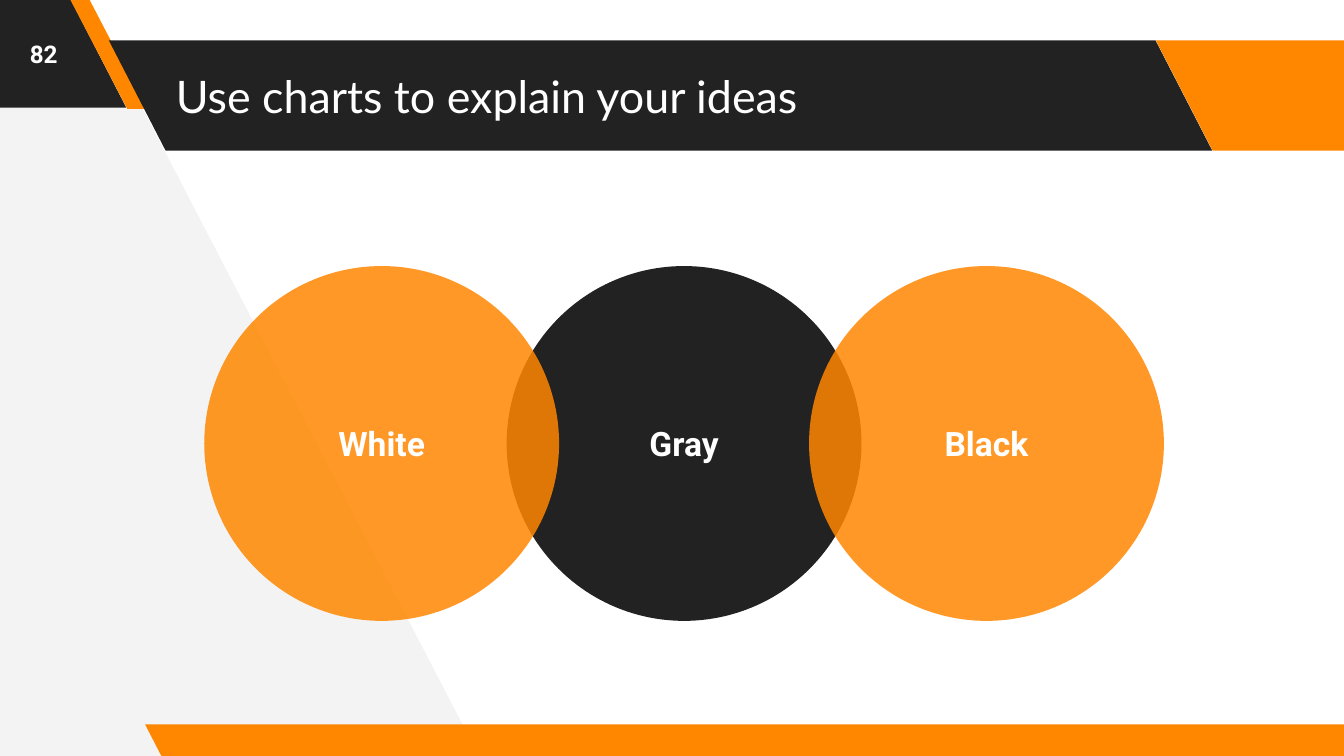
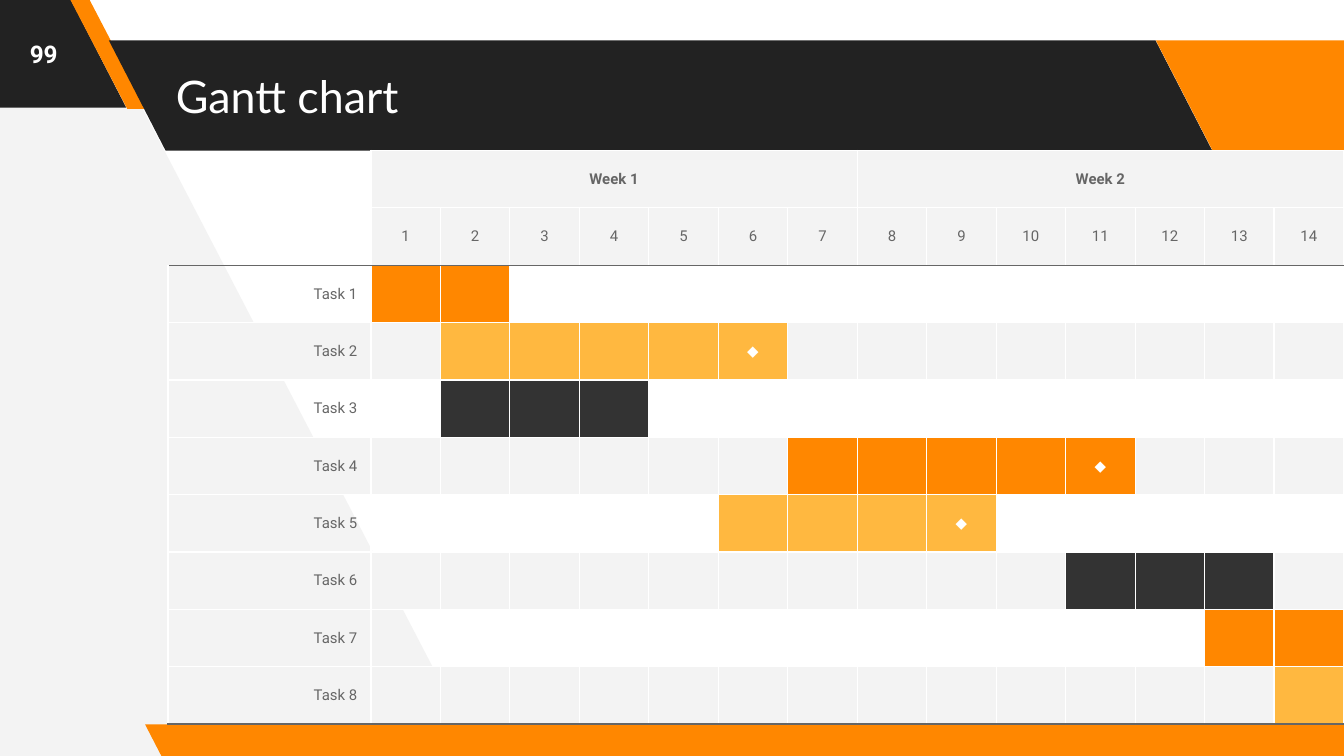
from lxml import etree
from pptx import Presentation
from pptx import util as u
from pptx.dml.color import RGBColor
from pptx.enum import shapes, text
from pptx.oxml.ns import qn

HUES = {"white": "FFFFFF", "pale": "F3F3F3", "dark": "222222", "coal": "333333",
        "orange": "FF8700", "amber": "FFB840", "grey": "666666"}
WIDE = 10
HIGH = WIDE * 9 / 16

# Shared frame
WEDGE = [(3.56, 5.62), (0.62, -0.04), (-0.06, -0.04), (-0.02, 5.66)]
BANDS = [  # left, top, width, height, slant, colour
    (-0.99, -0.02, 1.93, 0.82, 0.515, "dark"),
    (0.52, -0.01, 0.57, 0.82, 0.75, "orange"),
    (0.81, 0.3, 8.21, 0.82, 0.515, "dark"),
    (8.6, 0.3, 1.92, 0.82, 0.515, "orange"),
    (1.08, 5.39, 9.15, 0.25, 0.515, "orange"),
]

# Circles: label, place in the row, colour, opacity in percent; back to front
CIRCLES = [("Gray", 1, "dark", 100), ("White", 0, "orange", 85),
           ("Black", 2, "orange", 85)]
SIZE, STEP, LEFT, TOP = 2.64, 2.25, 1.52, 1.98

# Gantt: name, first day, last day, colour, milestone day
WEEKS = ["Week 1", "Week 2"]
DAYS = 14
TASKS = [
    ("Task 1", 1, 2, "orange", None),
    ("Task 2", 2, 6, "amber", 6),
    ("Task 3", 2, 4, "coal", None),
    ("Task 4", 7, 11, "orange", 11),
    ("Task 5", 6, 9, "amber", 9),
    ("Task 6", 11, 13, "coal", None),
    ("Task 7", 13, 14, "orange", None),
    ("Task 8", 14, 14, "amber", None),
]
GRID = (1.25, 1.12, 8.75, 4.27)
NAMES = 1.51  # width of the task name column


def color(name):
    """Return the colour of that name."""
    return RGBColor.from_string(HUES[name])


def paint(shape, hue):
    """Give a shape a flat fill with no line or shadow."""
    shape.shadow.inherit = False
    shape.fill.solid()
    shape.fill.fore_color.rgb = color(hue)
    shape.line.fill.background()


def style(para, size, hue="white", bold=False, face="Roboto", align="CENTER"):
    """Set the font and alignment of a paragraph."""
    font = para.font
    font.size, font.bold, font.name = u.Pt(size), bold, face
    font.color.rgb = color(hue)
    para.alignment = getattr(text.PP_ALIGN, align)


def write(shape, words, size, **look):
    """Put one line of text in the vertical middle of a shape."""
    frame = shape.text_frame
    frame.word_wrap = True
    frame.vertical_anchor = text.MSO_ANCHOR.MIDDLE
    frame.margin_left = frame.margin_right = u.Inches(0.1)
    frame.margin_top = frame.margin_bottom = u.Inches(0.1)
    frame.text = words
    style(frame.paragraphs[0], size, **look)


def start(deck, title, number):
    """Add a slide with the shared frame, title and number."""
    slide = deck.slides.add_slide(deck.slide_layouts[6])
    points = [(u.Inches(x), u.Inches(y)) for x, y in WEDGE]
    pen = slide.shapes.build_freeform(*points[0])
    pen.add_line_segments(points[1:], close=True)
    paint(pen.convert_to_shape(), "pale")
    for *box, slant, hue in BANDS:
        band = slide.shapes.add_shape(shapes.MSO_SHAPE.PARALLELOGRAM, *map(u.Inches, box))
        band.adjustments[0] = slant
        band.element.spPr.get_or_add_xfrm().set("flipH", "1")
        paint(band, hue)
    head = slide.shapes.add_textbox(*map(u.Inches, (1.21, 0.3, 7.35, 0.82)))
    write(head, title, 24, face="Lato", align="LEFT")
    tag = slide.shapes.add_textbox(*map(u.Inches, (0, 0, 0.65, 0.8)))
    write(tag, number, 13, bold=True)
    return slide


def circles(slide):
    """Draw the row of overlapping circles."""
    for label, place, hue, solid in CIRCLES:
        box = (LEFT + place * STEP, TOP, SIZE, SIZE)
        disc = slide.shapes.add_shape(shapes.MSO_SHAPE.OVAL, *map(u.Inches, box))
        paint(disc, hue)
        if solid < 100:
            tint = disc.element.spPr.find(".//" + qn("a:srgbClr"))
            etree.SubElement(tint, qn("a:alpha")).set("val", str(solid * 1000))
        write(disc, label, 18, bold=True)


def edge(cell, row, col):
    """Draw the borders of a cell; rules run under the header and last row."""
    last = len(TASKS) + 1
    corner = row < 2 and col == 0
    hues = {"L": None if corner else "white",
            "R": "white",
            "T": None if corner else "grey" if row == 2 else "white",
            "B": "grey" if row in (1, last) else None if corner else "white"}
    props = cell._tc.get_or_add_tcPr()
    for side, hue in hues.items():
        line = etree.SubElement(props, qn("a:ln" + side), w=str(u.Pt(0.75)))
        if hue:
            fill = etree.SubElement(line, qn("a:solidFill"))
            etree.SubElement(fill, qn("a:srgbClr"), val=HUES[hue])
        else:
            etree.SubElement(line, qn("a:noFill"))


def content(row, col):
    """Return the words, fill, text colour and alignment of a cell."""
    if row < 2:
        if col == 0:
            return "", None, "grey", "CENTER"
        span = DAYS // len(WEEKS)
        week, day = divmod(col - 1, span)
        words = str(col) if row else WEEKS[week] if day == 0 else ""
        return words, "pale", "grey", "CENTER"
    name, first, final, hue, mark = TASKS[row - 2]
    back = "pale" if row % 2 else None
    if col == 0:
        return name, back, "grey", "RIGHT"
    fill = hue if first <= col <= final else back
    return "◆" if col == mark else "", fill, "white", "CENTER"


def gantt(slide):
    """Draw the task plan as a table."""
    rows, cols = len(TASKS) + 2, DAYS + 1
    table = slide.shapes.add_table(rows, cols, *map(u.Inches, GRID)).table
    table.first_row = table.horz_banding = False
    for i, column in enumerate(table.columns):
        column.width = u.Inches((GRID[2] - NAMES) / DAYS if i else NAMES)
    for line in table.rows:
        line.height = u.Inches(GRID[3] / rows)
    for row in range(rows):
        for col in range(cols):
            cell = table.cell(row, col)
            words, fill, hue, align = content(row, col)
            edge(cell, row, col)
            if fill:
                cell.fill.solid()
                cell.fill.fore_color.rgb = color(fill)
            else:
                cell.fill.background()
            cell.vertical_anchor = text.MSO_ANCHOR.MIDDLE
            cell.text = words
            style(cell.text_frame.paragraphs[0], 8, hue, bold=row == 0, align=align)
    span = DAYS // len(WEEKS)
    for left in range(1, cols, span):
        table.cell(0, left).merge(table.cell(0, left + span - 1))


deck = Presentation()
deck.slide_width, deck.slide_height = u.Inches(WIDE), u.Inches(HIGH)
circles(start(deck, "Use charts to explain your ideas", "82"))
gantt(start(deck, "Gantt chart", "99"))
deck.save("out.pptx")
